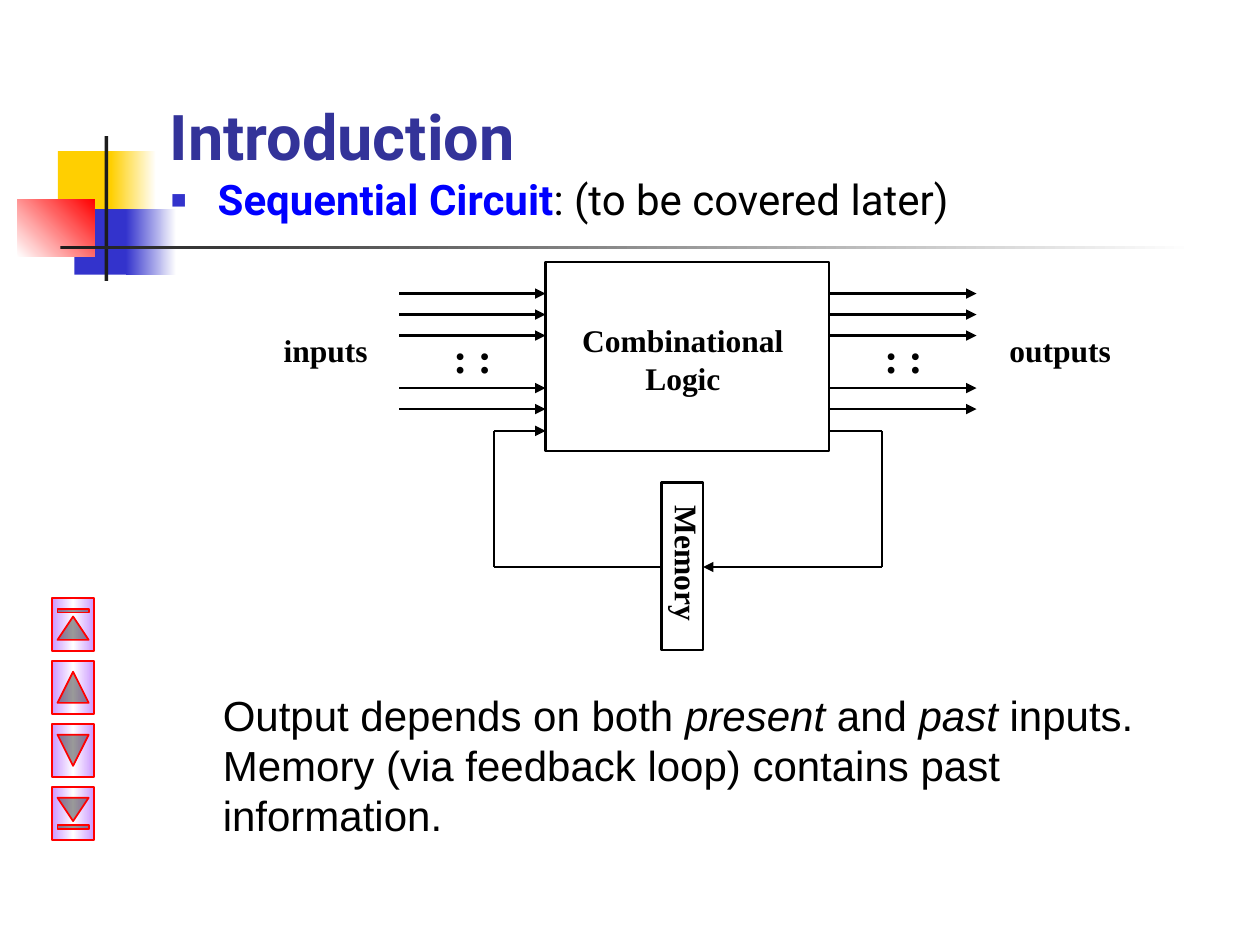
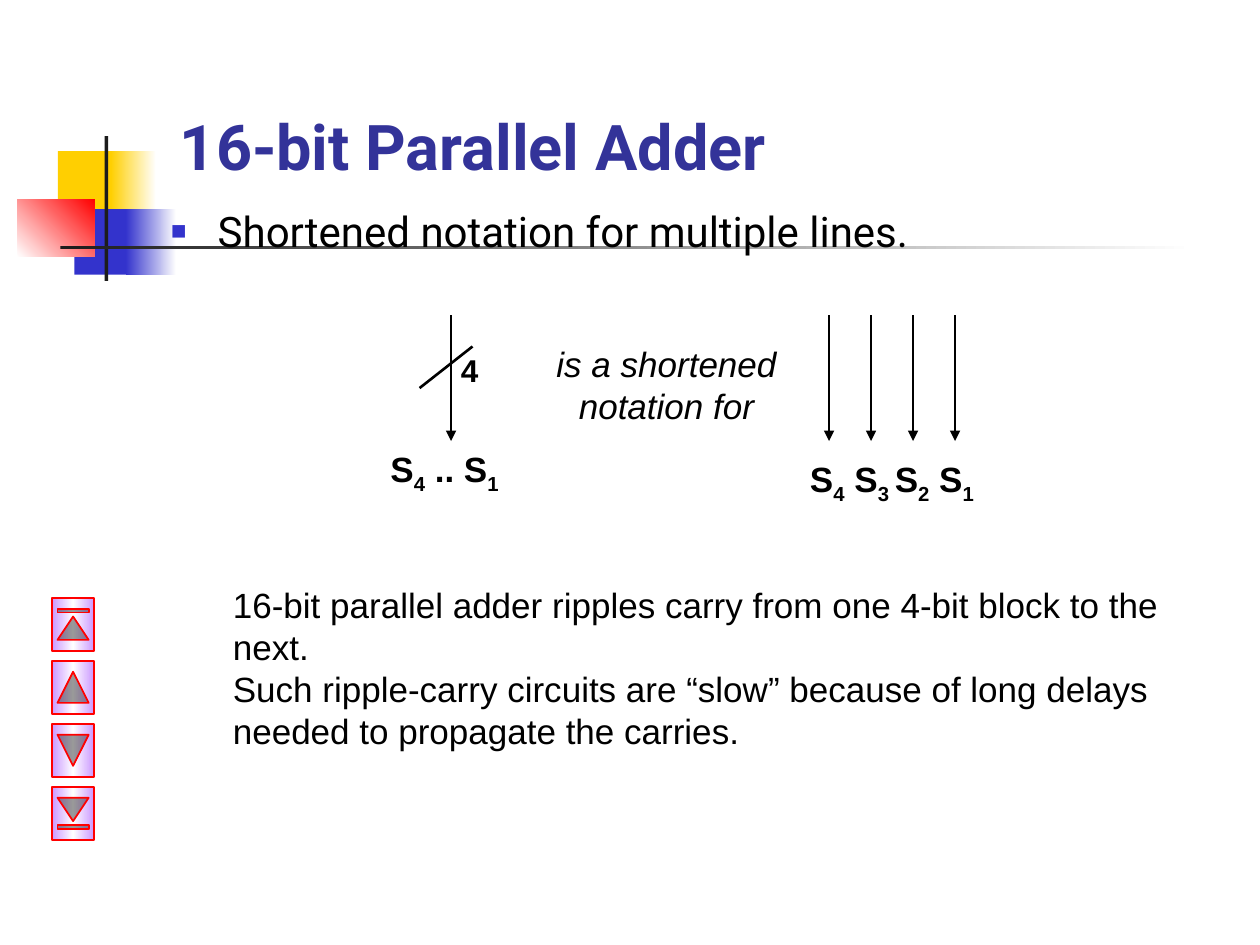
from dataclasses import dataclass

from lxml.etree import SubElement
from pptx import Presentation
from pptx.dml.color import RGBColor
from pptx.enum.shapes import MSO_CONNECTOR as CONN, MSO_SHAPE as SHAPE
from pptx.enum.text import MSO_ANCHOR as ANCHOR, PP_ALIGN as ALIGN
from pptx.oxml.ns import qn
from pptx.util import Inches, Pt


@dataclass(frozen=True)
class Theme:
    ink: str = "000000"
    paper: str = "FFFFFF"
    title: str = "333399"
    term: str = "0000FF"
    yellow: str = "FFCF01"
    blue: str = "3333CC"
    red: str = "FF0000"
    bar: str = "1C1C1C"
    lilac: str = "CC99FF"
    head_font: str = "Roboto"
    text_font: str = "Arial"
    diagram_font: str = "Times New Roman"
    title_size: int = 36
    body_size: int = 24
    note_size: int = 20
    label_size: int = 18
    thin: float = 1.25
    thick: float = 1.5


T = Theme()
BOLD = {"bold": True}
ITALIC = {"italic": True}
SUB = {"bold": True, "sub": True}


def rgb(color):
    return RGBColor.from_string(color)


def fill_gradient(sp, colors, angle):
    """Spread the colours evenly; the angle runs counter-clockwise."""
    sp.fill.gradient()
    sp.fill.gradient_angle = angle
    stops = sp._element.spPr.find(qn("a:gradFill")).find(qn("a:gsLst"))
    stops.clear()
    for i, color in enumerate(colors):
        stop = SubElement(stops, qn("a:gs"), pos=str(100000 * i // (len(colors) - 1)))
        SubElement(stop, qn("a:srgbClr"), val=color)


def add_shape(s, kind, box, colors=(), angle=0, line=None, width=1.0):
    """Draw a preset shape: no colour leaves it open, several make a gradient."""
    sp = s.shapes.add_shape(kind, *map(Inches, box))
    sp.shadow.inherit = False
    if len(colors) > 1:
        fill_gradient(sp, colors, angle)
    elif colors:
        sp.fill.solid()
        sp.fill.fore_color.rgb = rgb(colors[0])
    else:
        sp.fill.background()
    if line:
        sp.line.color.rgb = rgb(line)
        sp.line.width = Pt(width)
    else:
        sp.line.fill.background()
    return sp


def add_line(s, start, end, width=T.thin, arrow=False):
    c = s.shapes.add_connector(CONN.STRAIGHT, *map(Inches, start + end))
    c.line.color.rgb = rgb(T.ink)
    c.line.width = Pt(width)
    if arrow:
        SubElement(c.line._get_or_add_ln(), qn("a:tailEnd"), type="triangle")
    SubElement(c._element.spPr, qn("a:effectLst"))


def add_run(p, text, font, size, color=T.ink, bold=False, italic=False, sub=False):
    r = p.add_run()
    r.text = text
    r.font.name, r.font.size = font, Pt(size)
    r.font.bold, r.font.italic = bold, italic
    r.font.color.rgb = rgb(color)
    if sub:
        r._r.get_or_add_rPr().set("baseline", "-25000")


def add_text(s, box, paragraphs, font, size, align=ALIGN.LEFT, anchor=ANCHOR.TOP):
    """Each paragraph is a list of (text, style) runs."""
    sp = s.shapes.add_textbox(*map(Inches, box))
    tf = sp.text_frame
    tf.word_wrap = True
    tf.vertical_anchor = anchor
    for i, runs in enumerate(paragraphs):
        p = tf.add_paragraph() if i else tf.paragraphs[0]
        p.alignment = align
        for text, style in runs:
            add_run(p, text, font, size, **style)
    return sp


def add_title(s, left, top, text):
    style = {"bold": True, "color": T.title}
    add_text(s, (left, top, 8.5, 1.25), [[(text, style)]],
             T.head_font, T.title_size, anchor=ANCHOR.BOTTOM)


def add_bullet(s, top, runs):
    sp = add_text(s, (1.25, top, 8.5, 0.58), [runs], T.head_font, T.body_size)
    pPr = sp.text_frame.paragraphs[0]._p.get_or_add_pPr()
    pPr.set("marL", str(Inches(0.38)))
    pPr.set("indent", str(-Inches(0.38)))
    SubElement(SubElement(pPr, qn("a:buClr")), qn("a:srgbClr"), val=T.blue)
    SubElement(pPr, qn("a:buSzPct"), val="120000")
    SubElement(pPr, qn("a:buFont"), typeface=T.text_font)
    SubElement(pPr, qn("a:buChar"), char="▪")


def add_label(s, box, *lines, align=ALIGN.CENTER, size=T.label_size):
    return add_text(s, box, [[(line, BOLD)] for line in lines],
                    T.diagram_font, size, align)


def add_corner_blocks(s):
    for box, colors, angle in (
        ((0.46, 1.2, 0.48, 0.52), [T.yellow], 0),
        ((0.88, 1.2, 0.36, 0.52), [T.yellow, T.paper], 0),
        ((0.59, 1.66, 0.46, 0.52), [T.blue], 0),
        ((1, 1.66, 0.4, 0.52), [T.blue, T.paper], 0),
        ((0.14, 1.58, 0.61, 0.46), [T.paper, T.red], 45),
        ((0.83, 1.08, 0.03, 1.15), [T.bar], 0),
        ((0.48, 1.95, 9, 0.03), [T.bar, T.paper], 0),
    ):
        add_shape(s, SHAPE.RECTANGLE, box, colors, angle)


def add_nav_buttons(s):
    """Sideways action buttons, turned to point up and down."""
    kinds = (SHAPE.ACTION_BUTTON_BEGINNING, SHAPE.ACTION_BUTTON_BACK_OR_PREVIOUS,
             SHAPE.ACTION_BUTTON_FORWARD_OR_NEXT, SHAPE.ACTION_BUTTON_END)
    for i, kind in enumerate(kinds):
        sp = add_shape(s, kind, (0.37, 4.79 + 0.5 * i, 0.42, 0.33),
                       [T.lilac, T.paper, T.lilac], 270, T.red)
        sp.rotation = 90


def new_slide(prs):
    s = prs.slides.add_slide(prs.slide_layouts[6])
    add_corner_blocks(s)
    add_nav_buttons(s)
    return s


def add_signal_bus(s, left, right, dots_left):
    for row in (0, 1, 2, 4.5, 5.5):
        y = 2.33 + row / 6
        add_line(s, (left, y), (right, y), arrow=True)
    add_label(s, (dots_left, 2.58, 0.67, 0.5), ": :",
              align=ALIGN.LEFT, size=T.body_size)


def add_feedback_loop(s):
    logic_left, logic_right, loop_left, loop_right = 4.33, 6.58, 3.92, 7
    memory_left, memory_right, top, bottom = 5.25, 5.58, 3.42, 4.5
    add_line(s, (logic_right, top), (loop_right, top))
    add_line(s, (loop_right, top), (loop_right, bottom))
    add_line(s, (loop_right, bottom), (memory_right, bottom), arrow=True)
    add_line(s, (memory_left, bottom), (loop_left, bottom))
    add_line(s, (loop_left, bottom), (loop_left, top))
    add_line(s, (loop_left, top), (logic_left, top), arrow=True)


def build_sequential_circuit(prs):
    s = new_slide(prs)
    add_title(s, 1.25, 0.17, "Introduction")
    add_bullet(s, 1.33, [("Sequential Circuit", {"bold": True, "color": T.term}),
                         (": (to be covered later)", {})])
    add_text(s, (1.67, 5.42, 7.83, 1.42), [
        [("Output depends on both ", {}), ("present", ITALIC), (" and ", {}),
         ("past", ITALIC), (" inputs.", {})],
        [("Memory (via feedback loop) contains past information.", {})],
    ], T.text_font, T.body_size)

    for box in ((4.33, 2.08, 2.25, 1.5), (5.25, 3.83, 0.33, 1.33)):
        add_shape(s, SHAPE.RECTANGLE, box, line=T.ink, width=T.thick)
    add_label(s, (4.42, 2.5, 2, 0.7), "Combinational", "Logic")
    memory = add_label(s, (4.83, 4.34, 1.25, 0.4), "Memory", align=ALIGN.LEFT)
    memory.rotation = 90
    add_label(s, (2, 2.58, 1.17, 0.4), "inputs")
    add_label(s, (7.83, 2.58, 1.17, 0.4), "outputs")
    add_signal_bus(s, 3.17, 4.33, 3.5)
    add_signal_bus(s, 6.58, 7.75, 6.92)
    add_feedback_loop(s)


def build_parallel_adder(prs):
    s = new_slide(prs)
    add_title(s, 1.33, 0.25, "16-bit Parallel Adder")
    add_bullet(s, 1.58, [("Shortened notation for multiple lines.", {})])
    add_text(s, (1.75, 4.58, 8, 1.42), [
        [("16-bit parallel adder ripples carry from one 4-bit block to the next.", {})],
        [("Such ripple-carry circuits are “slow” because of long delays "
          "needed to propagate the carries.", {})],
    ], T.text_font, T.note_size)

    bundle_x = 3.58
    wire_xs = [6.58 + i / 3 for i in range(4)]
    for x in [bundle_x] + wire_xs:
        add_line(s, (x, 2.5), (x, 3.5), T.thick, arrow=True)
    add_line(s, (3.75, 2.75), (3.33, 3.08), T.thick)
    add_text(s, (3.56, 2.74, 0.33, 0.4), [[("4", BOLD)]], T.text_font, T.label_size)
    add_text(s, (3, 3.5, 1.25, 0.48),
             [[("S", BOLD), ("4", SUB), (" .. S", BOLD), ("1", SUB)]],
             T.text_font, T.note_size)
    add_text(s, (6.33, 3.58, 1.58, 0.48),
             [[("S", BOLD), ("4", SUB), (" S", BOLD), ("3 ", SUB),
               ("S", BOLD), ("2", SUB), (" S", BOLD), ("1", SUB)]],
             T.text_font, T.note_size)
    add_text(s, (4.25, 2.67, 2.08, 0.77), [[("is a shortened notation for", ITALIC)]],
             T.text_font, T.note_size, ALIGN.CENTER)


def main():
    prs = Presentation()
    prs.slide_width, prs.slide_height = Inches(10), Inches(7.5)
    build_sequential_circuit(prs)
    build_parallel_adder(prs)
    prs.save("out.pptx")


if __name__ == "__main__":
    main()
